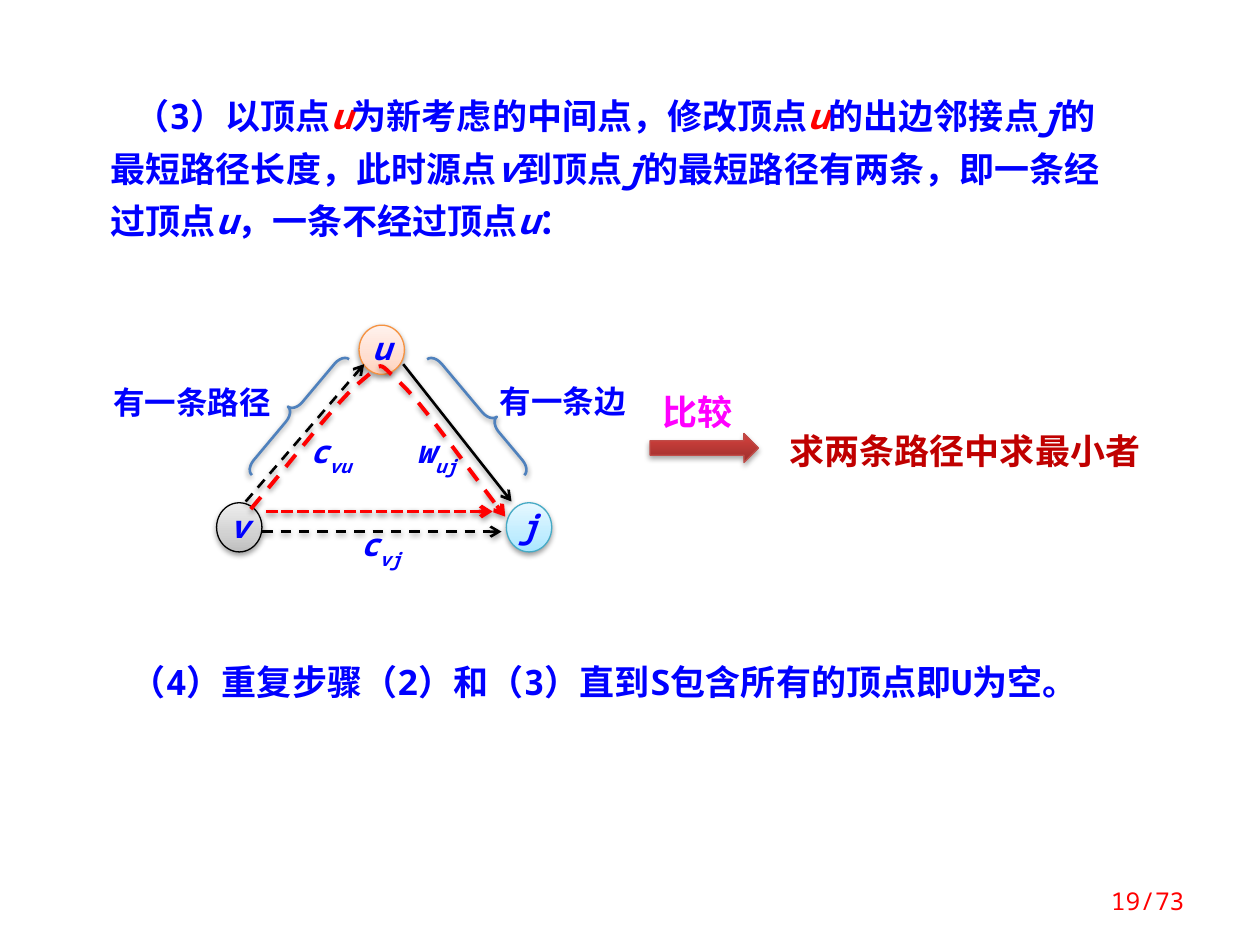
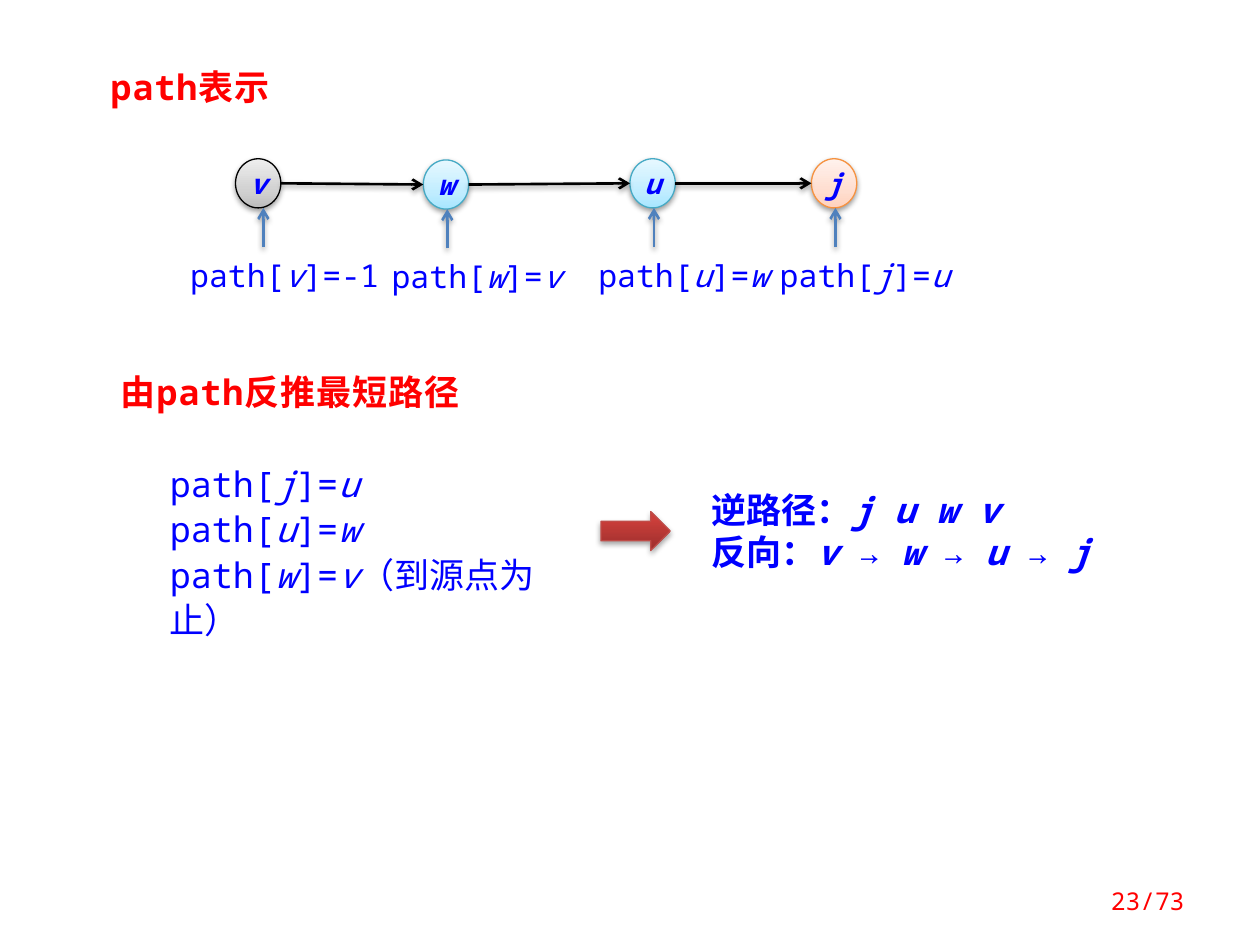
import lxml.etree
import pptx
import pptx.dml.color
import pptx.enum.dml
import pptx.enum.shapes
import pptx.enum.text
import pptx.oxml.ns
import pptx.util

Pt = pptx.util.Pt
qn = pptx.oxml.ns.qn
SHAPE = pptx.enum.shapes.MSO_SHAPE
ALIGN = pptx.enum.text.PP_ALIGN
ANCHOR = pptx.enum.text.MSO_ANCHOR
DASH = pptx.enum.dml.MSO_LINE

FONT = "Noto Sans Mono"
BLUE, RED, BLACK, STEEL = "0000FF", "FF0000", "000000", "4F81BD"
DARK_RED, MAGENTA = "C00000", "FF00FF"
GRAY_NODE = ([(0, "BDBDBD"), (35, "D1D1D1"), (100, "EEEEEE")], BLACK)
CYAN_NODE = ([(0, "A7E6FF"), (35, "C1EDFF"), (100, "E7F8FF")], "46AAC5")
ORANGE_NODE = ([(0, "FFD2BD"), (35, "FFDED0"), (100, "FFF2ED")], "F69240")
RED_ARROW = ([(0, "9C2F2D"), (80, "CB3E3A"), (100, "CE3B37")], "BF4C48")
NODE_W, NODE_H = 25.9, 28.1


def rgb(value):
    """Turn a hex string into a colour."""
    return pptx.dml.color.RGBColor.from_string(value)


def add_child(parent, tag, **attributes):
    """Append an XML child with the given attributes."""
    return lxml.etree.SubElement(parent, qn(tag), **attributes)


def add_shadow(shape, alpha=38, distance=20000):
    """Give a shape whose line is already set a soft shadow below it."""
    effects = add_child(shape._element.spPr, "a:effectLst")
    outer = add_child(effects, "a:outerShdw", blurRad="40000", dist=str(distance),
                      dir="5400000", rotWithShape="0")
    color = add_child(outer, "a:srgbClr", val=BLACK)
    add_child(color, "a:alpha", val=str(alpha * 1000))


def set_line(shape, color, width, dash=None, arrow=False):
    """Set line colour, width, dash and end arrowhead."""
    shape.line.color.rgb = rgb(color)
    shape.line.width = Pt(width)
    if dash:
        shape.line.dash_style = dash
    if arrow:
        add_child(shape.line._get_or_add_ln(), "a:tailEnd", type="arrow")


def set_gradient(shape, stops):
    """Fill a shape with a gradient that rises from the bottom."""
    shape.fill.gradient()
    shape.fill.gradient_angle = 90
    stop_list = shape._element.spPr.find(".//" + qn("a:gsLst"))
    for stop in list(stop_list):
        stop_list.remove(stop)
    for position, color in stops:
        stop = add_child(stop_list, "a:gs", pos=str(position * 1000))
        add_child(stop, "a:srgbClr", val=color)


def add_run(paragraph, text, size, color, bold=False, italic=False,
            baseline=None, spacing=None):
    """Add one formatted run."""
    run = paragraph.add_run()
    run.text = text
    run.font.name = FONT
    run.font.size = Pt(size)
    run.font.color.rgb = rgb(color)
    run.font.bold = bold
    run.font.italic = italic
    properties = run._r.get_or_add_rPr()
    if baseline:
        properties.set("baseline", str(baseline * 1000))
    if spacing:
        properties.set("spc", str(int(spacing * 100)))


def add_mixed(paragraph, text, size, color, bold=False, accents=(), spacing=None):
    """Add text whose parts between bars are italic, some of them red."""
    for index, part in enumerate(text.split("|")):
        if part:
            add_run(paragraph, part, size, RED if index in accents else color,
                    bold, index % 2 == 1, spacing=spacing)


def set_frame(frame, inset_x, inset_y, anchor=ANCHOR.TOP):
    """Set wrapping, insets and anchor of a text frame."""
    frame.word_wrap = True
    frame.margin_left = frame.margin_right = Pt(inset_x)
    frame.margin_top = frame.margin_bottom = Pt(inset_y)
    frame.vertical_anchor = anchor


def add_text(slide, box, lines, size=20, color=BLUE, bold=False, accents=(),
             align=ALIGN.LEFT, insets=(7.2, 3.6), anchor=ANCHOR.TOP,
             leading=None, indent=None, spacing=None, filled=False):
    """Add a text box with one paragraph per line."""
    area = slide.shapes.add_textbox(*map(Pt, box))
    if filled:
        area.fill.solid()
        area.fill.fore_color.rgb = rgb("FFFFFF")
    frame = area.text_frame
    set_frame(frame, *insets, anchor)
    for index, line in enumerate(lines):
        paragraph = frame.add_paragraph() if index else frame.paragraphs[0]
        paragraph.alignment = align
        if leading:
            paragraph.line_spacing = Pt(leading)
        if indent:
            paragraph._p.get_or_add_pPr().set("indent", str(Pt(indent)))
        add_mixed(paragraph, line, size, color, bold, accents, spacing)


def add_cost(slide, left, top, letter, subscript):
    """Add an edge cost such as c with a subscript."""
    area = slide.shapes.add_textbox(Pt(left), Pt(top), Pt(29.5), Pt(25.9))
    set_frame(area.text_frame, 0, 0)
    paragraph = area.text_frame.paragraphs[0]
    paragraph.alignment = ALIGN.CENTER
    add_run(paragraph, letter, 18, BLUE, True, True)
    add_run(paragraph, subscript, 18, BLUE, True, True, baseline=-30)


def add_node(slide, left, top, vertex, look, size, leading=None):
    """Add a graph vertex with its letter."""
    stops, outline = look
    node = slide.shapes.add_shape(SHAPE.OVAL, Pt(left), Pt(top), Pt(NODE_W), Pt(NODE_H))
    set_gradient(node, stops)
    set_line(node, outline, 0.75)
    add_shadow(node)
    set_frame(node.text_frame, 0, 0, ANCHOR.MIDDLE)
    paragraph = node.text_frame.paragraphs[0]
    paragraph.alignment = ALIGN.CENTER
    if leading:
        paragraph.line_spacing = Pt(leading)
    add_run(paragraph, vertex, size, BLUE, True, True)


def add_edge(slide, start, end, color=BLACK, width=1.5, dash=None):
    """Add a straight arrow between two points."""
    edge = slide.shapes.add_connector(pptx.enum.shapes.MSO_CONNECTOR.STRAIGHT,
                                      *map(Pt, start + end))
    set_line(edge, color, width, dash, arrow=True)
    add_shadow(edge)


def add_brace(slide, left, rotation, middle):
    """Add a tilted brace beside a side of the triangle."""
    brace = slide.shapes.add_shape(SHAPE.LEFT_BRACE, Pt(left), Pt(192.2), Pt(9.4), Pt(86.4))
    brace.rotation = rotation
    brace.adjustments[0] = 0.774
    brace.adjustments[1] = middle
    brace.fill.background()
    set_line(brace, STEEL, 1.5)
    add_shadow(brace)


def add_block_arrow(slide, box):
    """Add a red block arrow."""
    stops, outline = RED_ARROW
    block = slide.shapes.add_shape(SHAPE.RIGHT_ARROW, *map(Pt, box))
    set_gradient(block, stops)
    set_line(block, outline, 0.75)
    add_shadow(block, 35, 23000)


def bezier(p0, p1, p2, p3, t):
    """Return the point at t on a cubic curve."""
    s = 1 - t
    return tuple(Pt(s**3 * a + 3 * s * s * t * b + 3 * s * t * t * c + t**3 * d)
                 for a, b, c, d in zip(p0, p1, p2, p3))


def add_detour(slide, start, curves, steps=12):
    """Add the dashed red route made of joined curves."""
    points, origin = [], start
    for first, second, end in curves:
        points += [bezier(origin, first, second, end, i / steps)
                   for i in range(1, steps + 1)]
        origin = end
    builder = slide.shapes.build_freeform(*map(Pt, start))
    builder.add_line_segments(points, close=False)
    route = builder.convert_to_shape()
    route.fill.background()
    set_line(route, RED, 2.25, DASH.DASH, arrow=True)
    add_shadow(route)


def add_page(deck, number):
    """Add a blank slide with its page number."""
    slide = deck.slides.add_slide(deck.slide_layouts[6])
    add_text(slide, (613.4, 500.4, 70.6, 28.8), [f"{number}/73"], 14, RED,
             align=ALIGN.RIGHT, anchor=ANCHOR.MIDDLE)
    return slide


def build_relaxation(deck):
    """Build the slide on updating the shortest lengths."""
    slide = add_page(deck, 19)
    add_text(slide, (56.2, 44.6, 596.2, 95.8),
             ["（3）以顶点|u|为新考虑的中间点，修改顶点|u|的出边邻接点|j|的最短路径长度，"
              "此时源点|v|到顶点|j|的最短路径有两条，即一条经过顶点|u|，一条不经过顶点|u|："],
             bold=True, accents=(1, 3), leading=30, indent=13.5, filled=True)
    add_text(slide, (67.7, 371.5, 585.4, 36),
             ["（4）重复步骤（2）和（3）直到S包含所有的顶点即U为空。"],
             bold=True, insets=(7.2, 5.76), filled=True)
    for left, top, vertex, look in ((123.8, 287.3, "v", GRAY_NODE),
                                    (289.4, 287.3, "j", CYAN_NODE),
                                    (205.2, 185.8, "u", ORANGE_NODE)):
        add_node(slide, left, top, vertex, look, 18, leading=20)
    for cost in ((174.2, 247, "c", "vu"), (234.7, 247, "w", "uj"), (203, 300.2, "c", "vj")):
        add_cost(slide, *cost)
    add_brace(slide, 163.4, 40, 0.5)
    add_brace(slide, 270.7, 140, 0.413)
    for box, caption in (((283, 218.2, 77, 20.9), "有一条边"),
                         ((56.2, 218.9, 107.3, 20.9), "有一条路径")):
        add_text(slide, box, [caption], 18, bold=True, align=ALIGN.CENTER, insets=(0, 0))
    add_edge(slide, (149.8, 303.8), (286.6, 303.8), dash=DASH.DASH)
    add_edge(slide, (140.4, 286.6), (208.1, 208.1), dash=DASH.DASH)
    add_edge(slide, (230.4, 208.1), (292.3, 286.6))
    add_detour(slide, (143.3, 290.9),
               [((171.4, 257.8), (191.5, 230.4), (205.9, 218.2)),
                ((220.3, 206.6), (214.6, 205.9), (228.2, 218.2)),
                ((241.9, 231.1), (261.4, 259.9), (288.7, 295.2))])
    add_edge(slide, (151.9, 292.3), (281.5, 292.3), RED, 2.25, DASH.SQUARE_DOT)
    add_text(slide, (444.2, 241.9, 230.4, 31.7), ["求两条路径中求最小者"],
             color=DARK_RED, bold=True)
    add_block_arrow(slide, (371.5, 247.7, 61.9, 16.6))
    add_text(slide, (371.5, 219.6, 56.2, 31.7), ["比较"], color=MAGENTA, bold=True)


def build_path(deck):
    """Build the slide on storing and tracing back a path."""
    slide = add_page(deck, 23)
    chain = [(134.6, 90.7, "v", GRAY_NODE, "path[|v|]=-1", 33, 15.9),
             (241.9, 91.4, "w", CYAN_NODE, "path[|w|]=|v", 25.2, 13.7),
             (360, 90.7, "u", CYAN_NODE, "path[|u|]=|w", 25.2, 13.7),
             (463.7, 90.7, "j", ORANGE_NODE, "path[|j|]=|u", 25.2, 13.7)]
    for left, top, vertex, look, entry, outdent, pointer in chain:
        add_node(slide, left, top, vertex, look, 16)
        add_edge(slide, (left + pointer, top + 50.5), (left + pointer, top + NODE_H), STEEL)
        add_text(slide, (left - outdent, top + 52.2, 136.8, 28.8), [entry], 18)
    for (left, top, *_), (next_left, next_top, *_) in zip(chain, chain[1:]):
        add_edge(slide, (left + NODE_W, top + NODE_H / 2),
                 (next_left, next_top + NODE_H / 2))
    for box, heading in (((56.2, 33.8, 112.3, 31.7), "path表示"),
                         ((61.9, 208.1, 236.2, 31.7), "由path反推最短路径")):
        add_text(slide, box, [heading], color=RED, bold=True, spacing=0.5)
    add_text(slide, (90, 258.5, 247.7, 85.7),
             ["path[|j|]=|u", "path[|u|]=|w", "path[|w|]=|v|（到源点为止）"], leading=26)
    add_block_arrow(slide, (343.4, 292.3, 39.6, 22.3))
    add_text(slide, (399.6, 275.8, 247.7, 55.4),
             ["逆路径：|j u w v", "反向：|v| → |w| → |u| → |j"], bold=True)


def main():
    """Build and save the deck."""
    deck = pptx.Presentation()
    deck.slide_width, deck.slide_height = Pt(720), Pt(540)
    build_relaxation(deck)
    build_path(deck)
    deck.save("out.pptx")


if __name__ == "__main__":
    main()
